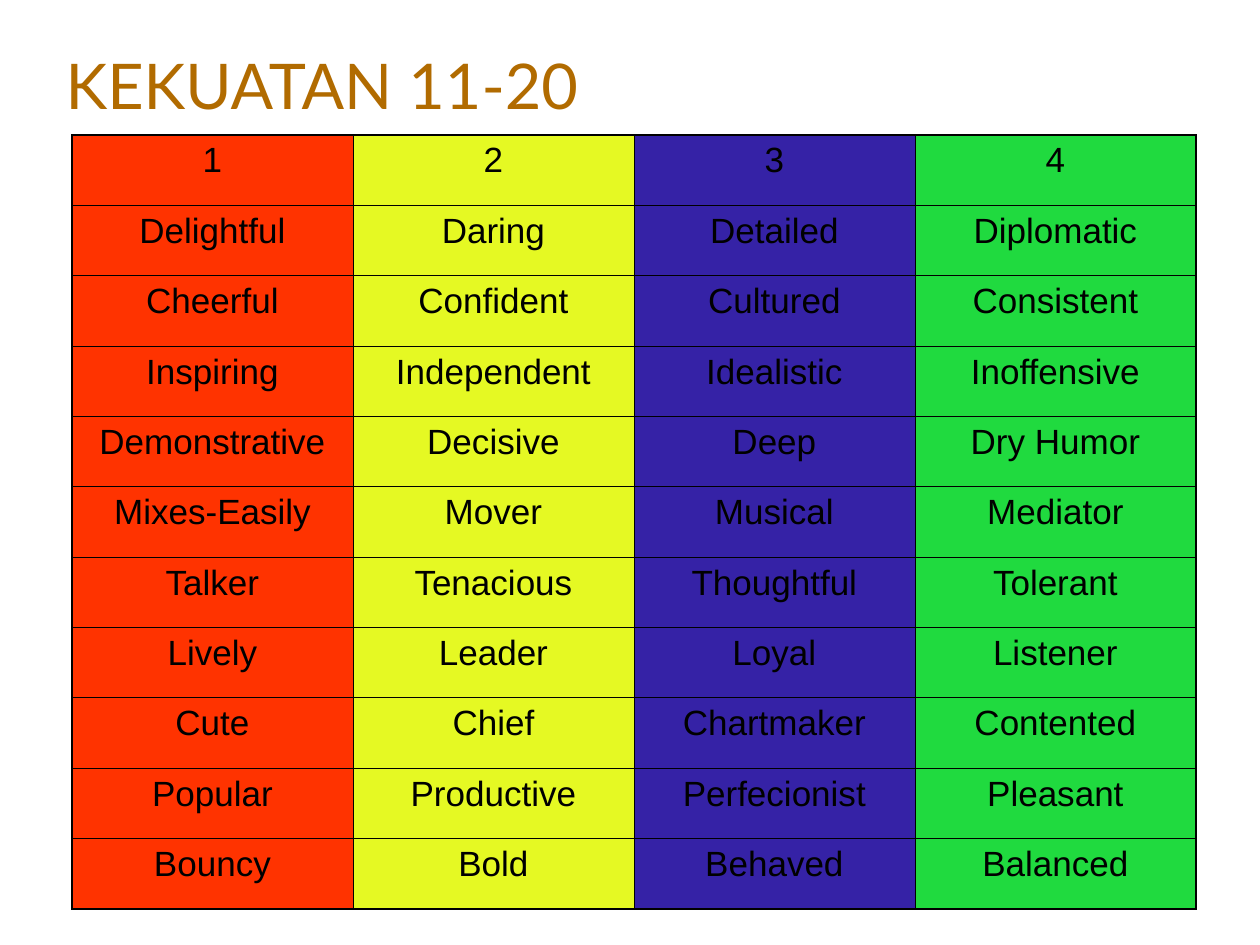
from lxml import etree
from pptx import Presentation
from pptx.dml.color import RGBColor
from pptx.enum.text import MSO_ANCHOR, PP_ALIGN
from pptx.oxml import parse_xml
from pptx.oxml.ns import nsdecls, qn
from pptx.util import Pt

CENTER, LEFT = PP_ALIGN.CENTER, PP_ALIGN.LEFT
MIDDLE = MSO_ANCHOR.MIDDLE
EMU_PER_PX = 914400 / 126
COLORS = {
    "title": "B16B00",
    "text": "000000",
    "border": "000000",
    "red": "FF3300",
    "yellow": "E5F923",
    "blue": "3522A6",
    "green": "20DA3F",
}
COLUMN_FILLS = ["red", "yellow", "blue", "green"]
STRENGTHS = [
    ["1", "2", "3", "4"],
    ["Delightful", "Daring", "Detailed", "Diplomatic"],
    ["Cheerful", "Confident", "Cultured", "Consistent"],
    ["Inspiring", "Independent", "Idealistic", "Inoffensive"],
    ["Demonstrative", "Decisive", "Deep", "Dry Humor"],
    ["Mixes-Easily", "Mover", "Musical", "Mediator"],
    ["Talker", "Tenacious", "Thoughtful", "Tolerant"],
    ["Lively", "Leader", "Loyal", "Listener"],
    ["Cute", "Chief", "Chartmaker", "Contented"],
    ["Popular", "Productive", "Perfecionist", "Pleasant"],
    ["Bouncy", "Bold", "Behaved", "Balanced"],
]


def px(n):
    return round(n * EMU_PER_PX)


def rgb(name):
    return RGBColor.from_string(COLORS[name])


class Deck:
    title_font, body_font = "Lato", "Arial"
    title_size, body_size = 36, 20
    outer_line, inner_line = 1.08, 0.45

    def __init__(self, width, height):
        self.prs = Presentation()
        self.prs.slide_width, self.prs.slide_height = px(width), px(height)
        self.slide = self.prs.slides.add_slide(self.prs.slide_layouts[5])

    def style(self, p, font, size, color, align):
        p.alignment = align
        p.font.name, p.font.size = font, Pt(size)
        p.font.color.rgb = rgb(color)

    def title(self, text, x, y, w, h):
        sp = self.slide.shapes.title
        sp.left, sp.top, sp.width, sp.height = px(x), px(y), px(w), px(h)
        tf = sp.text_frame
        tf.text = text
        tf.vertical_anchor = MIDDLE
        p = tf.paragraphs[0]
        self.style(p, self.title_font, self.title_size, "title", LEFT)
        p.runs[0]._r.get_or_add_rPr().append(parse_xml(
            f'<a:effectLst {nsdecls("a")}>'
            '<a:outerShdw dist="17961" dir="2700000">'
            '<a:srgbClr val="000000"/></a:outerShdw></a:effectLst>'))

    def border(self, cell, side, width):
        ln = etree.SubElement(cell._tc.get_or_add_tcPr(), qn(f"a:ln{side}"),
                              w=str(Pt(width)))
        fill = etree.SubElement(ln, qn("a:solidFill"))
        etree.SubElement(fill, qn("a:srgbClr"), val=COLORS["border"])

    def table(self, rows, fills, x, y, w, h):
        n_rows, n_cols = len(rows), len(fills)
        table = self.slide.shapes.add_table(
            n_rows, n_cols, px(x), px(y), px(w), px(h)).table
        table.first_row = table.horz_banding = False
        for i, row in enumerate(rows):
            for j, text in enumerate(row):
                cell = table.cell(i, j)
                cell.text = text
                self.style(cell.text_frame.paragraphs[0], self.body_font,
                           self.body_size, "text", CENTER)
                outer = {"L": j == 0, "R": j == n_cols - 1,
                         "T": i == 0, "B": i == n_rows - 1}
                for side, is_outer in outer.items():
                    self.border(cell, side,
                                self.outer_line if is_outer else self.inner_line)
                cell.fill.solid()
                cell.fill.fore_color.rgb = rgb(fills[j])


def main():
    deck = Deck(1260, 945)
    deck.title("KEKUATAN 11-20", 53, 42, 1155, 84)
    deck.table(STRENGTHS, COLUMN_FILLS, 72, 135, 1124, 774)
    deck.prs.save("out.pptx")


if __name__ == "__main__":
    main()
